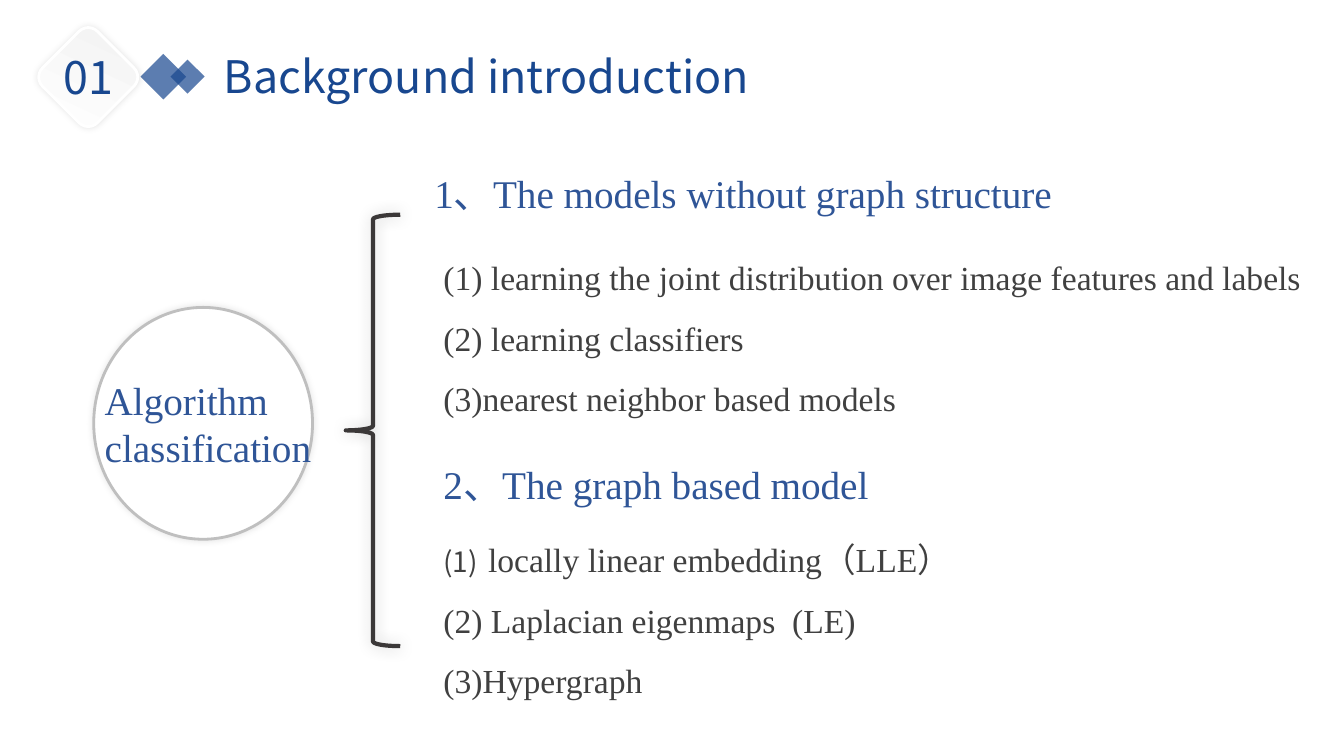
"""Build the background introduction slide on algorithm classification."""
from lxml.etree import SubElement
from pptx import Presentation
from pptx.dml.color import RGBColor
from pptx.enum.shapes import MSO_SHAPE
from pptx.enum.text import MSO_ANCHOR, MSO_AUTO_SIZE, PP_ALIGN
from pptx.oxml.ns import qn
from pptx.util import Inches, Pt

NAVY = RGBColor(0x18, 0x47, 0x8F)
BLUE = RGBColor(0x2F, 0x55, 0x97)
DARK = RGBColor(0x40, 0x40, 0x40)
BRACE = RGBColor(0x3B, 0x38, 0x38)
SILVER = RGBColor(0xBF, 0xBF, 0xBF)
PALE = RGBColor(0xF2, 0xF2, 0xF2)
WHITE = RGBColor(0xFF, 0xFF, 0xFF)
SERIF = "Times New Roman"
SANS = "Noto Sans CJK SC"
LIST_LEFT = 4.3
INDENT = Inches(0.38)

presentation = Presentation()
presentation.slide_width = Inches(13.33)
presentation.slide_height = Inches(7.5)
slide = presentation.slides.add_slide(presentation.slide_layouts[5])


def write_text(shape, *lines, font=SERIF, size=28, color=BLUE, wrap=True, numbered=False):
    """Fill a shape with lines, optionally as a numbered list."""
    frame = shape.text_frame
    frame.word_wrap = wrap
    frame.auto_size = MSO_AUTO_SIZE.SHAPE_TO_FIT_TEXT
    frame.vertical_anchor = MSO_ANCHOR.TOP
    for index, line in enumerate(lines):
        paragraph = frame.add_paragraph() if index else frame.paragraphs[0]
        paragraph.alignment = PP_ALIGN.LEFT
        if numbered:
            paragraph.line_spacing = 1.5
            properties = paragraph._p.get_or_add_pPr()
            properties.set("marL", str(INDENT))
            properties.set("indent", str(-INDENT))
            SubElement(properties, qn("a:buAutoNum"), type="arabicParenBoth")
        pieces = [(line, font, size)] if isinstance(line, str) else line
        for text, name, points in pieces:
            run = paragraph.add_run()
            run.text = text
            run.font.name = name
            run.font.size = Pt(points)
            run.font.color.rgb = color


def add_outline(kind, box, line, width, opacity, blur, direction=0):
    """Add a preset shape with a line and a soft shadow."""
    shape = slide.shapes.add_shape(kind, *map(Inches, box))
    shape.line.color.rgb = line
    shape.line.width = Pt(width)
    shape.shadow.inherit = False
    effects = shape._element.spPr.find(qn("a:effectLst"))
    shadow = SubElement(effects, qn("a:outerShdw"), blurRad=str(Pt(blur)), dist="0",
                        dir=str(direction * 60000), algn="ctr", rotWithShape="0")
    shade = SubElement(shadow, qn("a:srgbClr"), val="000000")
    SubElement(shade, qn("a:alpha"), val=str(opacity * 1000))
    return shape


title = slide.shapes.title
title.left, title.top, title.width, title.height = map(Inches, (2.12, 0.43, 6.46, 0.64))
write_text(title, "Background introduction", font=SANS, size=32, color=NAVY)

brace = add_outline(MSO_SHAPE.LEFT_BRACE, (3.43, 2.13, 0.54, 4.28), BRACE, 3, 20, 11, 135)
brace.fill.background()

for left, top, side in [(1.46, 0.6, 0.32), (1.74, 0.64, 0.24)]:
    diamond = slide.shapes.add_shape(MSO_SHAPE.RECTANGLE, *map(Inches, (left, top, side, side)))
    diamond.rotation = 225
    diamond.shadow.inherit = False
    diamond.line.fill.background()
    diamond.fill.solid()
    diamond.fill.fore_color.rgb = NAVY
    color_element = diamond._element.spPr.find(qn("a:solidFill"))[0]
    SubElement(color_element, qn("a:alpha"), val="70000")

badge = add_outline(MSO_SHAPE.ROUNDED_RECTANGLE, (0.49, 0.38, 0.77, 0.77), PALE, 2, 11, 5)
badge.rotation = 45
badge.fill.gradient()
badge.fill.gradient_angle = 110
for stop, color in zip(badge.fill.gradient_stops, (WHITE, PALE)):
    stop.color.rgb = color
badge.line.color.rgb = WHITE

circle = add_outline(MSO_SHAPE.OVAL, (0.93, 3.05, 2.17, 2.3), SILVER, 2, 11, 5)
circle.fill.solid()
circle.fill.fore_color.rgb = WHITE

text_boxes = [
    ((0.53, 0.44, 0.73, 0.64), ["01"], dict(font=SANS, size=32, color=NAVY, wrap=False)),
    ((0.94, 3.68, 2.36, 1.04), ["Algorithm classification"], {}),
    ((4.21, 1.63, 7.14, 0.57), ["1、The models without graph structure"], {}),
    ((LIST_LEFT, 2.3, 8.85, 2.22),
     [" learning the joint distribution over image features and labels",
      " learning classifiers",
      "nearest neighbor based models"],
     dict(size=24, color=DARK, numbered=True)),
    ((LIST_LEFT, 4.52, 5.78, 0.57), ["2、The graph based model"], {}),
    ((LIST_LEFT, 5.1, 5.9, 2.45),
     [[(" ", SANS, 20), ("locally linear embedding（LLE）", SERIF, 24)],
      " Laplacian eigenmaps  (LE)",
      "Hypergraph"],
     dict(size=24, color=DARK, numbered=True)),
]
for box, lines, style in text_boxes:
    write_text(slide.shapes.add_textbox(*map(Inches, box)), *lines, **style)

presentation.save("out.pptx")
